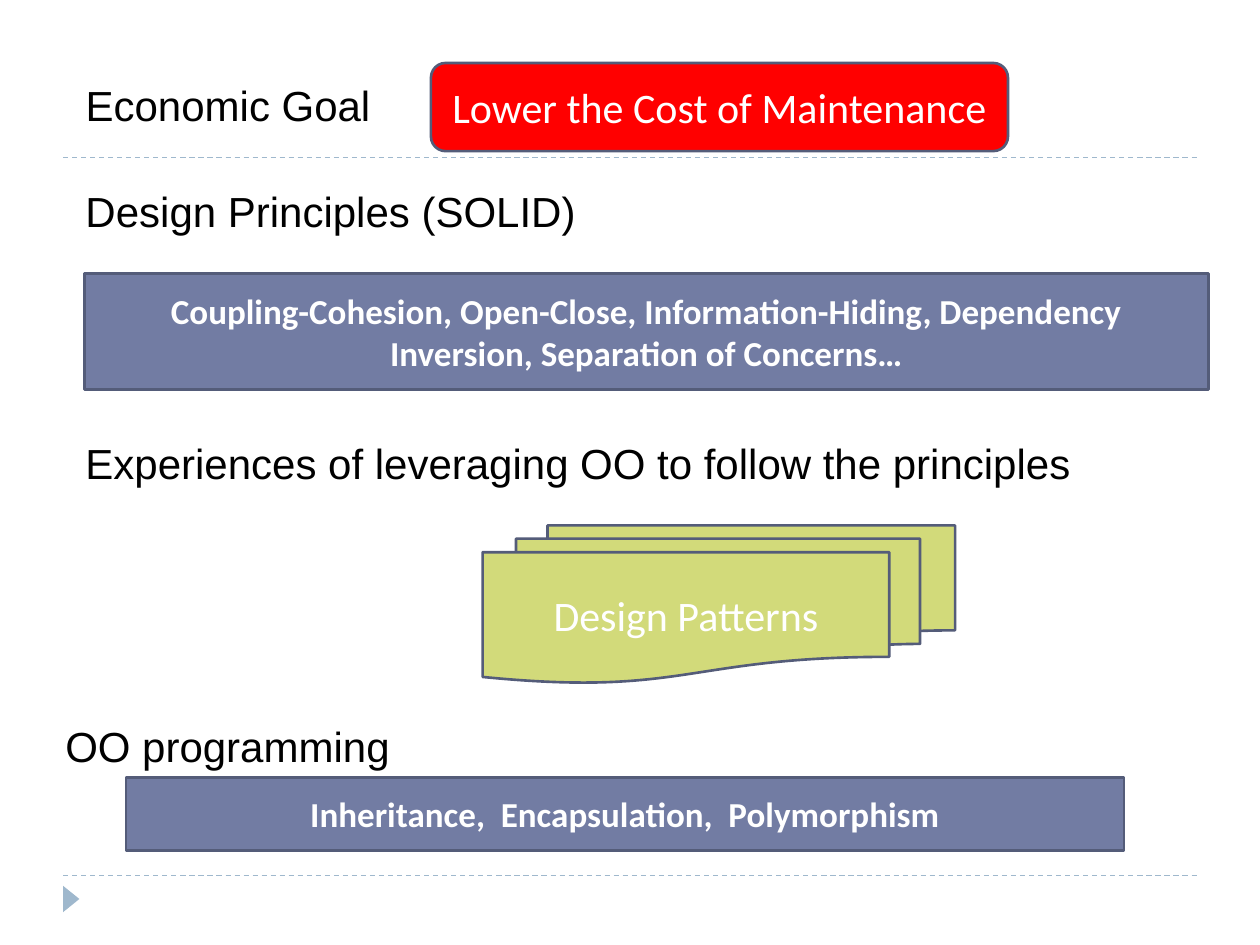
from dataclasses import dataclass

from lxml.etree import SubElement
from pptx import Presentation
from pptx.dml.color import RGBColor
from pptx.enum.dml import MSO_LINE
from pptx.enum.shapes import MSO_CONNECTOR, MSO_SHAPE
from pptx.enum.text import MSO_ANCHOR, MSO_AUTO_SIZE, PP_ALIGN
from pptx.oxml.ns import qn
from pptx.util import Inches, Pt


@dataclass(frozen=True)
class Theme:
    goal: str = "FF0000"
    bar: str = "727CA3"
    pattern: str = "D2DA7A"
    outline: str = "545C79"
    accent: str = "9FB8CD"
    heading: str = "000000"
    label: str = "FFFFFF"
    heading_font: str = "Arial"
    label_font: str = "Calibri"
    large: int = 24
    small: int = 20


theme = Theme()


def write(sp, text, font, size, color, align, anchor, bold=False):
    tf = sp.text_frame
    tf.word_wrap = True
    tf.vertical_anchor = anchor
    tf.text = text
    p = tf.paragraphs[0]
    p.alignment = align
    p.font.name = font
    p.font.size = Pt(size)
    p.font.bold = bold
    p.font.color.rgb = RGBColor.from_string(color)


def paint(sp, fill, outline=None):
    sp.shadow.inherit = False
    sp.fill.solid()
    sp.fill.fore_color.rgb = RGBColor.from_string(fill)
    if outline:
        sp.line.color.rgb = RGBColor.from_string(outline)
        sp.line.width = Pt(1.5)
    else:
        sp.line.fill.background()


prs = Presentation()
prs.slide_width, prs.slide_height = Inches(10), Inches(7.5)
s = prs.slides.add_slide(prs.slide_layouts[5])

# Dashed rules and corner marker
for y in (6.95, 1.25):
    rule = s.shapes.add_connector(
        MSO_CONNECTOR.STRAIGHT, Inches(0.5), Inches(y), Inches(9.5), Inches(y))
    rule.line.color.rgb = RGBColor.from_string(theme.accent)
    rule.line.width = Pt(0.75)
    rule.line.dash_style = MSO_LINE.DASH
    SubElement(rule.element.spPr, qn("a:effectLst"))

marker = s.shapes.add_shape(MSO_SHAPE.ISOSCELES_TRIANGLE,
                            Inches(0.46), Inches(7.07), Inches(0.21), Inches(0.13))
marker.rotation = 90
paint(marker, theme.accent)

# Level headings, the first one being the slide title
headings = [
    ("Economic Goal", 0.58, 0.58, 2.67),
    ("Design Principles (SOLID)", 0.58, 1.42, 5.75),
    ("Experiences of leveraging OO to follow the principles", 0.58, 3.42, 9.08),
    ("OO programming", 0.42, 5.67, 3),
]
for i, (text, x, y, w) in enumerate(headings):
    sp = s.shapes.title if i == 0 else s.shapes.add_textbox(0, 0, 0, 0)
    sp.left, sp.top, sp.width, sp.height = map(Inches, (x, y, w, 0.51))
    write(sp, text, theme.heading_font, theme.large, theme.heading,
          PP_ALIGN.LEFT, MSO_ANCHOR.TOP)
    sp.text_frame.auto_size = MSO_AUTO_SIZE.SHAPE_TO_FIT_TEXT

# Filled boxes that answer each heading
boxes = [
    (MSO_SHAPE.ROUNDED_RECTANGLE, "Lower the Cost of Maintenance",
     (3.42, 0.5, 4.58, 0.7), theme.goal, theme.large, False),
    (MSO_SHAPE.RECTANGLE,
     "Coupling-Cohesion, Open-Close, Information-Hiding, Dependency Inversion, "
     "Separation of Concerns…",
     (0.67, 2.17, 8.92, 0.92), theme.bar, theme.small, True),
    (MSO_SHAPE.FLOWCHART_MULTIDOCUMENT, "Design Patterns",
     (3.83, 4.17, 3.75, 1.25), theme.pattern, theme.large, False),
    (MSO_SHAPE.RECTANGLE, "Inheritance,  Encapsulation,  Polymorphism",
     (1, 6.17, 7.92, 0.58), theme.bar, theme.small, True),
]
for kind, text, place, fill, size, bold in boxes:
    sp = s.shapes.add_shape(kind, *map(Inches, place))
    paint(sp, fill, theme.outline)
    write(sp, text, theme.label_font, size, theme.label,
          PP_ALIGN.CENTER, MSO_ANCHOR.MIDDLE, bold)

prs.save("out.pptx")
